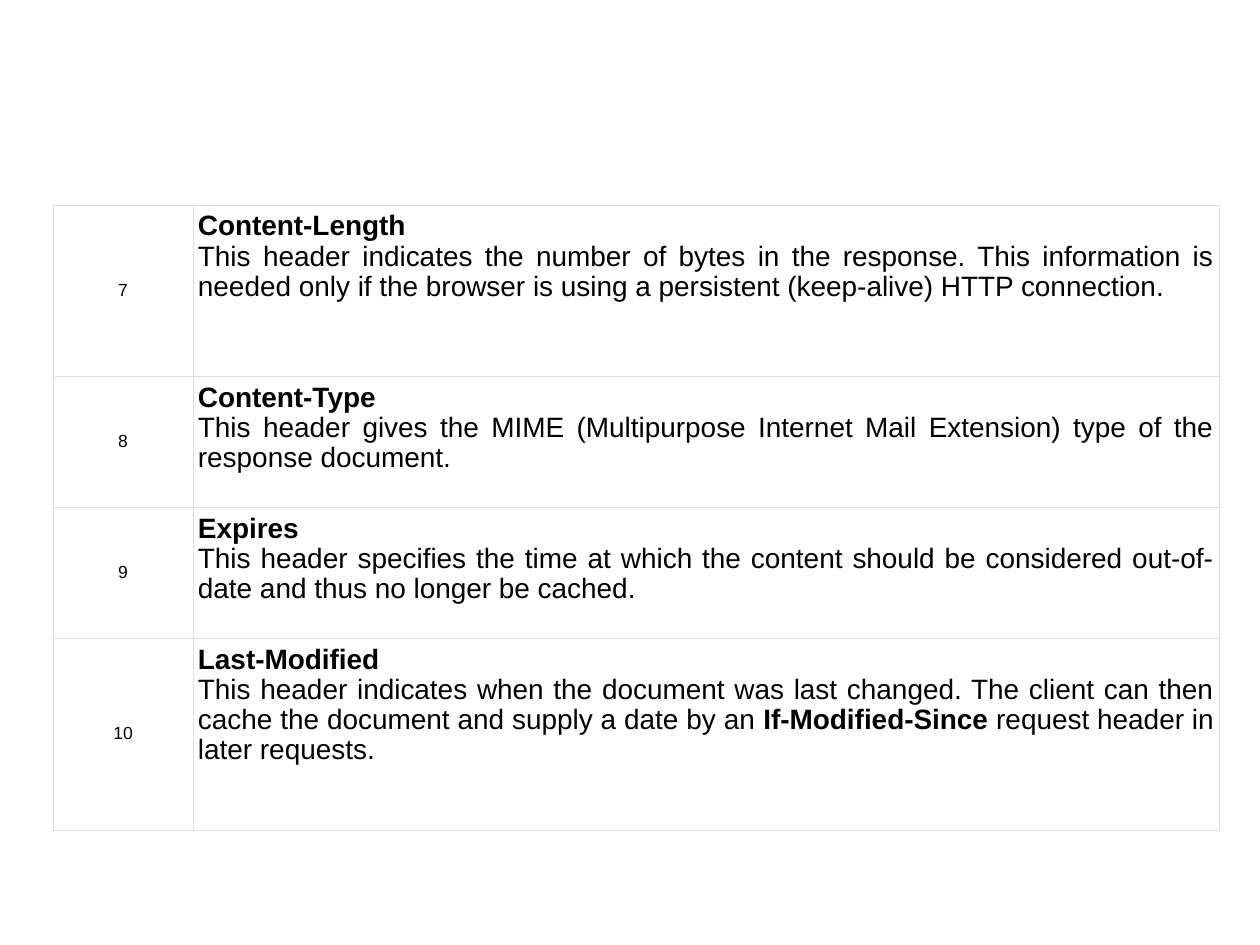
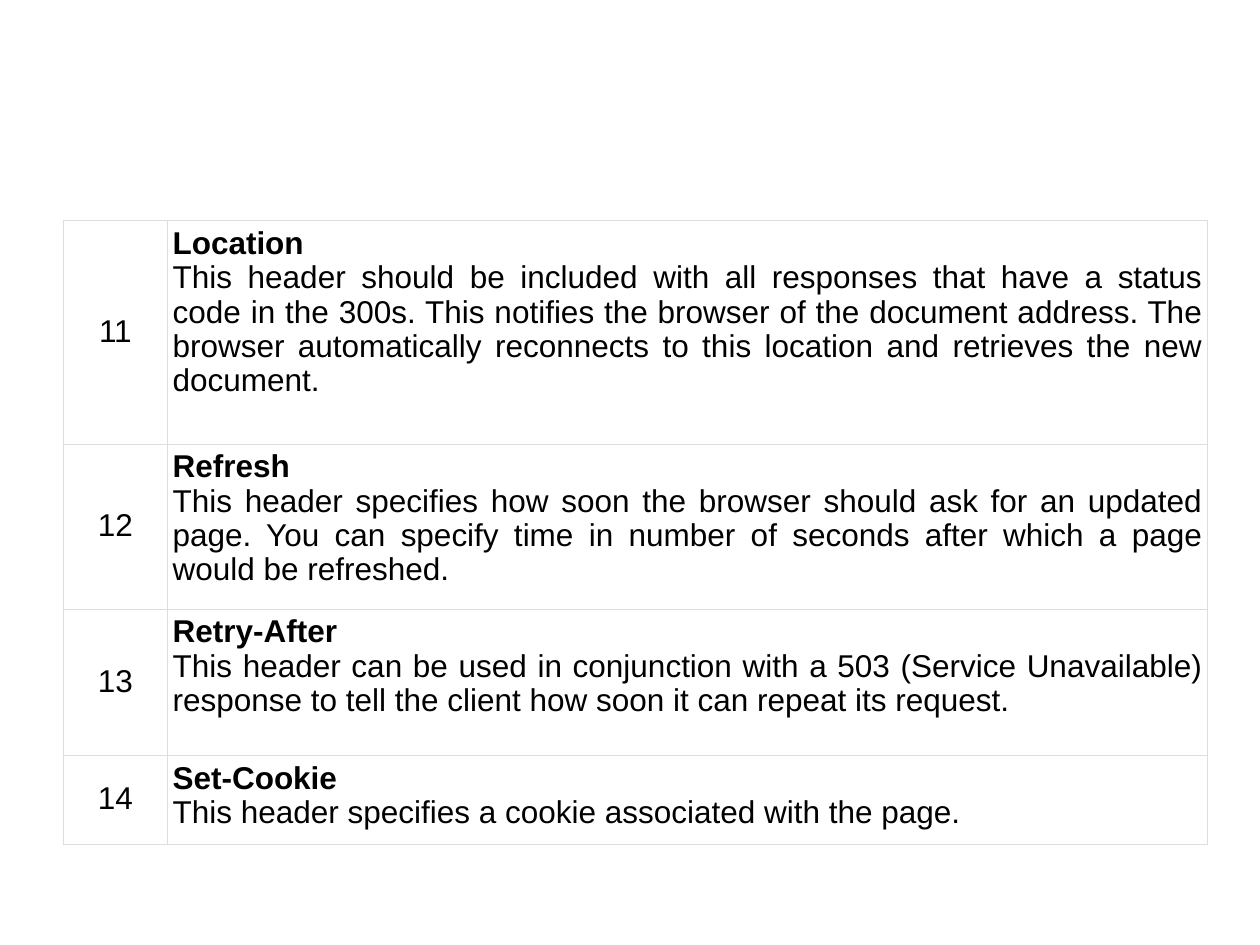
import lxml.etree
import pptx
import pptx.dml.color
import pptx.enum.text
import pptx.oxml.ns
import pptx.util

Cm, Pt = pptx.util.Cm, pptx.util.Pt
PP_ALIGN = pptx.enum.text.PP_ALIGN
MSO_ANCHOR = pptx.enum.text.MSO_ANCHOR
qn = pptx.oxml.ns.qn

BLACK = pptx.dml.color.RGBColor(0x00, 0x00, 0x00)
GRID = pptx.dml.color.RGBColor(0xDD, 0xDD, 0xDD)
FONT = "Arial"
GRID_WIDTH = Pt(0.34)
LINE_SPACING = 0.97

# Text between ** marks is bold.
CONTENT_HEADERS = [
    ("7", "Content-Length",
     "This header indicates the number of bytes in the response. This information is "
     "needed only if the browser is using a persistent (keep-alive) HTTP connection."),
    ("8", "Content-Type",
     "This header gives the MIME (Multipurpose Internet Mail Extension) type of the "
     "response document."),
    ("9", "Expires",
     "This header specifies the time at which the content should be considered "
     "out-of-date and thus no longer be cached."),
    ("10", "Last-Modified",
     "This header indicates when the document was last changed. The client can then "
     "cache the document and supply a date by an **If-Modified-Since** request header "
     "in later requests."),
]
CONTROL_HEADERS = [
    ("11", "Location",
     "This header should be included with all responses that have a status code in the "
     "300s. This notifies the browser of the document address. The browser automatically "
     "reconnects to this location and retrieves the new document."),
    ("12", "Refresh",
     "This header specifies how soon the browser should ask for an updated page. You can "
     "specify time in number of seconds after which a page would be refreshed."),
    ("13", "Retry-After",
     "This header can be used in conjunction with a 503 (Service Unavailable) response "
     "to tell the client how soon it can repeat its request."),
    ("14", "Set-Cookie",
     "This header specifies a cookie associated with the page."),
]


def add_borders(cell):
    tcPr = cell._tc.get_or_add_tcPr()
    for side in ("a:lnL", "a:lnR", "a:lnT", "a:lnB"):
        ln = lxml.etree.SubElement(tcPr, qn(side), w=str(GRID_WIDTH))
        fill = lxml.etree.SubElement(ln, qn("a:solidFill"))
        lxml.etree.SubElement(fill, qn("a:srgbClr"), val=str(GRID))


def style_cell(cell, anchor):
    cell.margin_left = cell.margin_right = Cm(0.1)
    cell.margin_top = cell.margin_bottom = Cm(0.13)
    cell.vertical_anchor = anchor
    add_borders(cell)
    cell.fill.background()


def write_paragraph(p, text, size, align, bold=False):
    """Write text into p, with the parts between ** marks in bold."""
    p.alignment = align
    p.line_spacing = LINE_SPACING
    p.font.name = FONT
    p.font.size = Pt(size)
    p.font.bold = bold
    p.font.color.rgb = BLACK
    for i, part in enumerate(text.split("**")):
        r = p.add_run()
        r.text = part
        if i % 2:
            r.font.bold = True


def add_header_table(s, left, top, col_widths, row_heights, headers, number_size, text_size):
    frame = s.shapes.add_table(len(headers), len(col_widths), Cm(left), Cm(top),
                               Cm(sum(col_widths)), Cm(sum(row_heights)))
    table = frame.table
    table.first_row = table.horz_banding = False
    for column, width in zip(table.columns, col_widths):
        column.width = Cm(width)
    for row, height, (number, name, description) in zip(table.rows, row_heights, headers):
        row.height = Cm(height)
        number_cell, text_cell = row.cells
        style_cell(number_cell, MSO_ANCHOR.MIDDLE)
        write_paragraph(number_cell.text_frame.paragraphs[0], number, number_size,
                        PP_ALIGN.CENTER)
        style_cell(text_cell, MSO_ANCHOR.TOP)
        tf = text_cell.text_frame
        write_paragraph(tf.paragraphs[0], name, text_size, PP_ALIGN.JUSTIFY, bold=True)
        write_paragraph(tf.add_paragraph(), description, text_size, PP_ALIGN.JUSTIFY)


def main():
    prs = pptx.Presentation()
    prs.slide_width, prs.slide_height = Cm(25.4), Cm(19.05)
    blank = prs.slide_layouts[6]
    add_header_table(prs.slides.add_slide(blank), 1.07, 4.14, (2.82, 20.68),
                     (3.45, 2.64, 2.64, 3.86), CONTENT_HEADERS,
                     number_size=10, text_size=16)
    add_header_table(prs.slides.add_slide(blank), 1.27, 4.45, (2.11, 20.96),
                     (4.5, 3.33, 2.95, 1.78), CONTROL_HEADERS,
                     number_size=18, text_size=18)
    prs.save("out.pptx")


if __name__ == "__main__":
    main()
